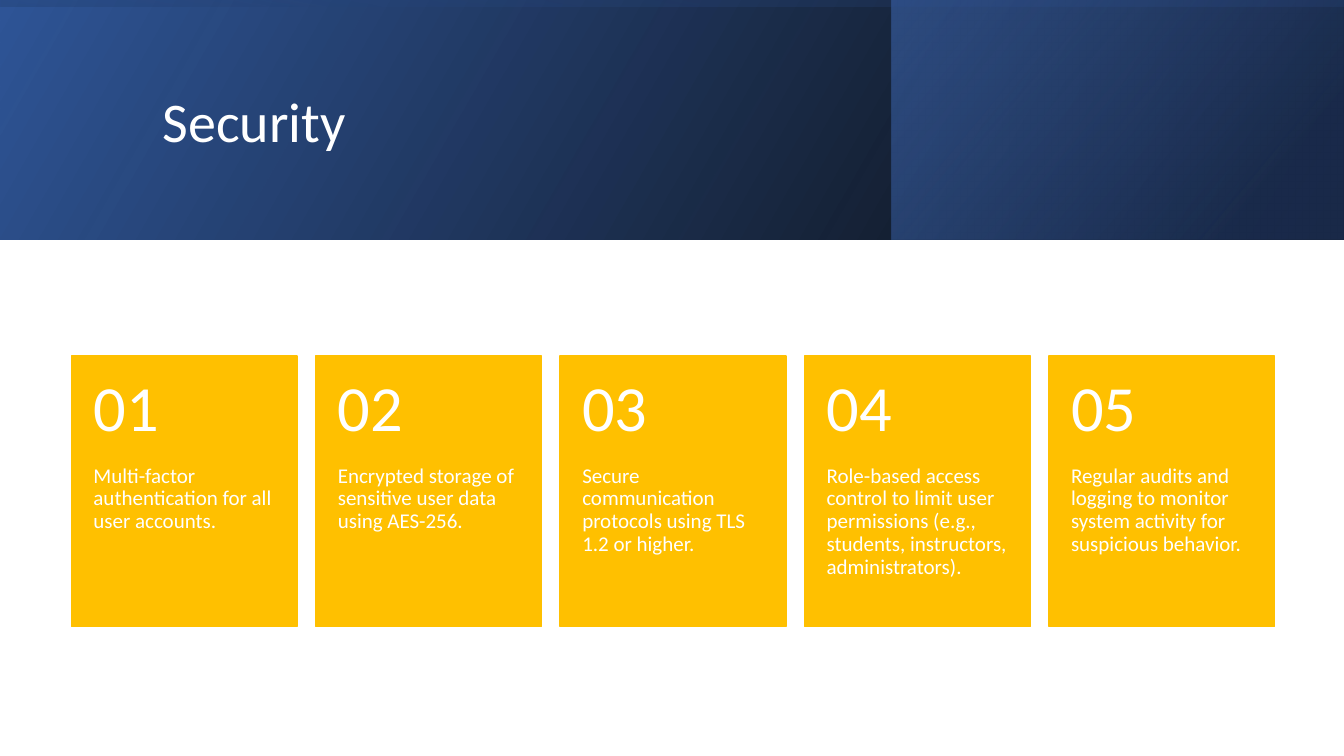
from dataclasses import dataclass

from lxml import etree
from pptx import Presentation
from pptx.dml.color import RGBColor
from pptx.enum.shapes import MSO_SHAPE
from pptx.enum.text import MSO_ANCHOR
from pptx.oxml.ns import qn
from pptx.util import Pt

PX = 9525
RECT = MSO_SHAPE.RECTANGLE
TOP, MIDDLE = MSO_ANCHOR.TOP, MSO_ANCHOR.MIDDLE


@dataclass(frozen=True)
class Theme:
    """Colours, font and type sizes of the slide."""
    font: str = "Calibri"
    text: str = "FFFFFF"
    card: str = "FFC000"
    black: str = "000000"
    blue: str = "2F5597"
    navy: str = "203864"
    sky: str = "4472C4"
    title_size: int = 40
    number_size: int = 46
    body_size: int = 15


THEME = Theme()
POINTS = [
    "Multi-factor authentication for all user accounts.",
    "Encrypted storage of sensitive user data using AES-256.",
    "Secure communication protocols using TLS 1.2 or higher.",
    "Role-based access control to limit user permissions "
    "(e.g., students, instructors, administrators).",
    "Regular audits and logging to monitor system activity for suspicious behavior.",
]


def emu(*lengths):
    """Turn px lengths into EMU."""
    return [round(v * PX) for v in lengths]


def add_rect(slide, box):
    """Add a rectangle without a shadow."""
    sp = slide.shapes.add_shape(RECT, *emu(*box))
    sp.shadow.inherit = False
    return sp


def add_gradient(slide, box, stops, angle, rotation=0):
    """Add a mirrored rectangle with a two-stop, partly transparent gradient."""
    sp = add_rect(slide, box)
    sp.rotation = rotation
    sp._element.spPr.xfrm.set("flipH", "1")
    sp.line.fill.background()
    sp.fill.gradient()
    sp.fill.gradient_angle = angle
    for stop, (position, color, _) in zip(sp.fill.gradient_stops, stops):
        stop.position = position / 100
        stop.color.rgb = RGBColor.from_string(color)
    colors = sp._element.spPr.iter(qn("a:srgbClr"))
    for node, (_, _, opacity) in zip(colors, stops):
        etree.SubElement(node, qn("a:alpha"), val=str(opacity * 1000))


def add_text(slide, box, text, size, anchor, insets):
    """Add a wrapped text box with one run."""
    tf = slide.shapes.add_textbox(*emu(*box)).text_frame
    tf.word_wrap = True
    tf.vertical_anchor = anchor
    tf.margin_left, tf.margin_top, tf.margin_right, tf.margin_bottom = emu(*insets)
    p = tf.paragraphs[0]
    p.line_spacing = 0.9
    r = p.add_run()
    r.text = text
    r.font.name = THEME.font
    r.font.size = Pt(size)
    r.font.color.rgb = RGBColor.from_string(THEME.text)


def add_header(slide, box):
    """Layer the banner gradients and set the title over them."""
    x, y, w, h = box
    add_gradient(slide, box, [(0, THEME.black, 96), (100, THEME.blue, 100)], 30)
    add_gradient(slide, (x + 849, y, 430, h),
                 [(19, THEME.navy, 68), (100, THEME.sky, 48)], 40)
    add_gradient(slide, (x + (w - h) / 2, y + (h - w) / 2, h, w),
                 [(23, THEME.blue, 16), (99, THEME.black, 45)], 10, 270)
    add_text(slide, (x + 145, y + 36, 1020, 165), "Security",
             THEME.title_size, MIDDLE, (10, 5, 10, 5))


def add_card(slide, box, number, text):
    """Draw one card with its number above its text."""
    x, y, w, h = box
    number_h = 104
    sp = add_rect(slide, box)
    sp.fill.solid()
    sp.fill.fore_color.rgb = RGBColor.from_string(THEME.card)
    sp.line.color.rgb = RGBColor.from_string(THEME.card)
    sp.line.width = Pt(1)
    add_text(slide, (x, y + number_h, w, h - number_h), text,
             THEME.body_size, TOP, (21, 0, 21, 35))
    add_text(slide, (x, y, w, number_h), f"{number:02d}",
             THEME.number_size, MIDDLE, (21, 17, 21, 17))


def add_cards(slide, box):
    """Spread the cards evenly across the box."""
    x, y, w, h = box
    card_w = 215
    pitch = (w - card_w) / (len(POINTS) - 1)
    for i, text in enumerate(POINTS):
        add_card(slide, (x + i * pitch, y, card_w, h), i + 1, text)


def main():
    """Build and save the slide."""
    prs = Presentation()
    prs.slide_width, prs.slide_height = emu(1280, 720)
    s = prs.slides.add_slide(prs.slide_layouts[6])
    add_header(s, (0, 0, 1280, 228))
    add_cards(s, (68, 339, 1146, 258))
    prs.save("out.pptx")


if __name__ == "__main__":
    main()
